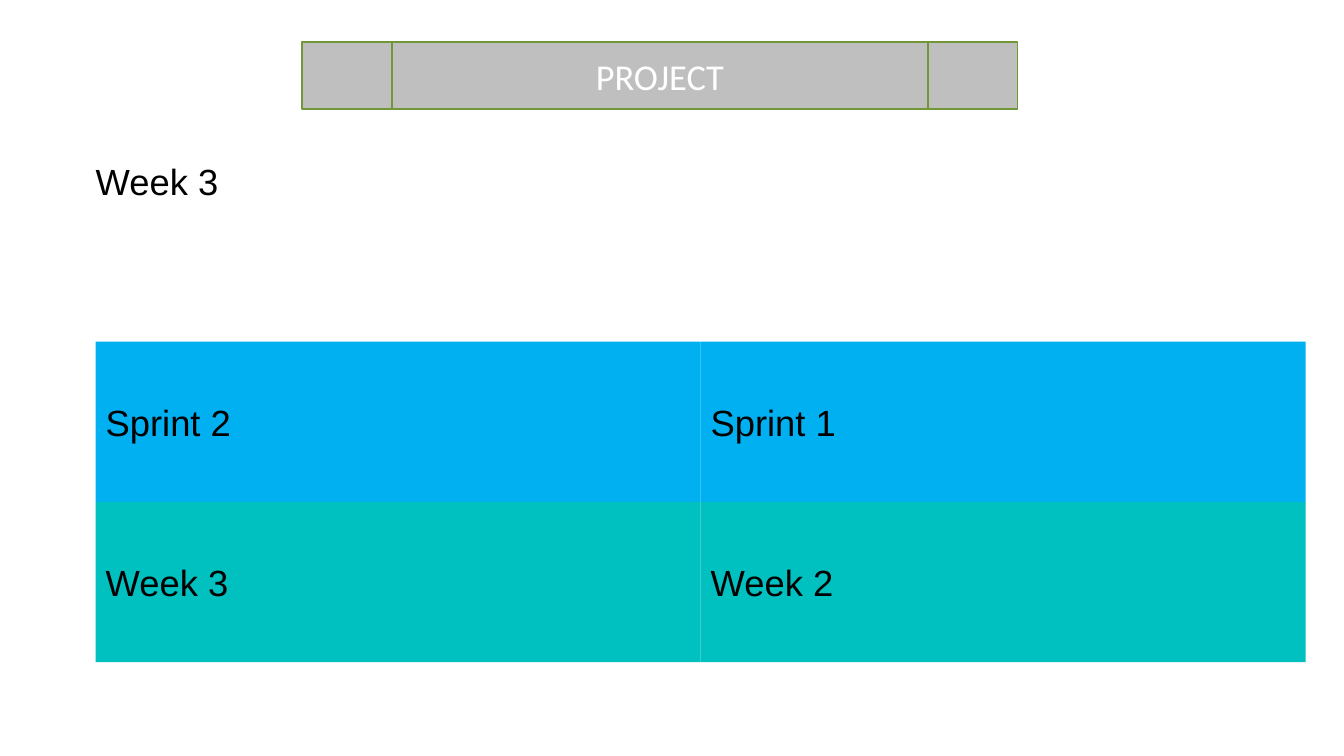
import pptx
import pptx.util
import pptx.dml.color
import pptx.enum.shapes
import pptx.enum.text
from dataclasses import dataclass

SHAPE = pptx.enum.shapes.MSO_SHAPE
ALIGN = pptx.enum.text.PP_ALIGN
SLIDE_W = pptx.util.Inches(13.34)
SLIDE_H = pptx.util.Inches(7.5)


@dataclass(frozen=True)
class Theme:
    sprint: str = "00B0F0"
    week: str = "00C0C0"
    banner: str = "BFBFBF"
    banner_line: str = "719738"
    dark: str = "000000"
    light: str = "FFFFFF"
    body_font: str = "Arial"
    banner_font: str = "Calibri"
    size: float = 26
    line_width: float = 1.25


THEME = Theme()


def rgb(value):
    return pptx.dml.color.RGBColor.from_string(value)


def place(x, y, w, h):
    return [int(share * side / 100) for share, side in
            ((x, SLIDE_W), (y, SLIDE_H), (w, SLIDE_W), (h, SLIDE_H))]


def write(sp, text, font=THEME.body_font, color=THEME.dark, align=ALIGN.LEFT, inset=0.1):
    tf = sp.text_frame
    tf.word_wrap = True
    tf.vertical_anchor = pptx.enum.text.MSO_ANCHOR.MIDDLE
    tf.margin_left = tf.margin_right = pptx.util.Inches(inset)
    tf.margin_top = tf.margin_bottom = pptx.util.Inches(inset / 2)
    p = tf.paragraphs[0]
    p.alignment = align
    r = p.add_run()
    r.text = text
    r.font.name = font
    r.font.size = pptx.util.Pt(THEME.size)
    r.font.color.rgb = rgb(color)


def add_box(s, kind, box, fill, line=None):
    sp = s.shapes.add_shape(kind, *place(*box))
    sp.shadow.inherit = False
    sp.fill.solid()
    sp.fill.fore_color.rgb = rgb(fill)
    if line:
        sp.line.color.rgb = rgb(line)
        sp.line.width = pptx.util.Pt(THEME.line_width)
    else:
        sp.line.fill.background()
    return sp


def add_banner(s, box, text):
    sp = add_box(s, SHAPE.FLOWCHART_PREDEFINED_PROCESS, box,
                 THEME.banner, THEME.banner_line)
    write(sp, text, font=THEME.banner_font, color=THEME.light, align=ALIGN.CENTER)


def add_week_label(s, box, text):
    write(s.shapes.add_textbox(*place(*box)), text, inset=0)


def add_plan(s, box, rows):
    x, y, w, h = box
    row_h = h / len(rows)
    for i, (fill, labels) in enumerate(rows):
        col_w = w / len(labels)
        for j, label in enumerate(labels):
            cell = (x + j * col_w, y + i * row_h, col_w, row_h)
            write(add_box(s, SHAPE.RECTANGLE, cell, fill), label)


def main():
    prs = pptx.Presentation()
    prs.slide_width, prs.slide_height = SLIDE_W, SLIDE_H
    s = prs.slides.add_slide(prs.slide_layouts[6])
    add_plan(s, (7.12, 45.2, 90.03, 42.4), [
        (THEME.sprint, ("Sprint 2", "Sprint 1")),
        (THEME.week, ("Week 3", "Week 2")),
    ])
    add_week_label(s, (7.12, 20, 12, 8), "Week 3")
    add_banner(s, (22.49, 5.6, 53.22, 8.8), "PROJECT")
    prs.save("out.pptx")


if __name__ == "__main__":
    main()
